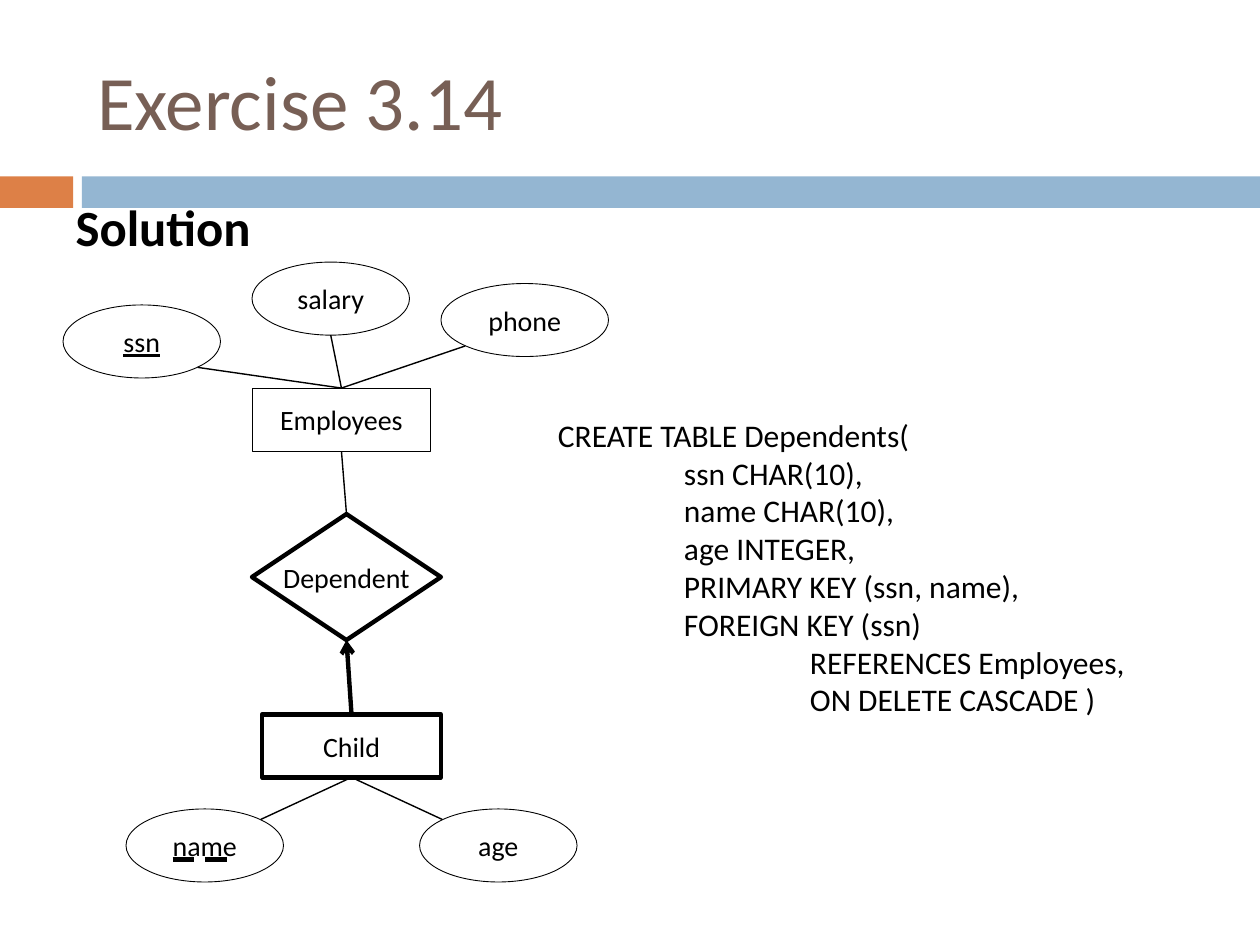
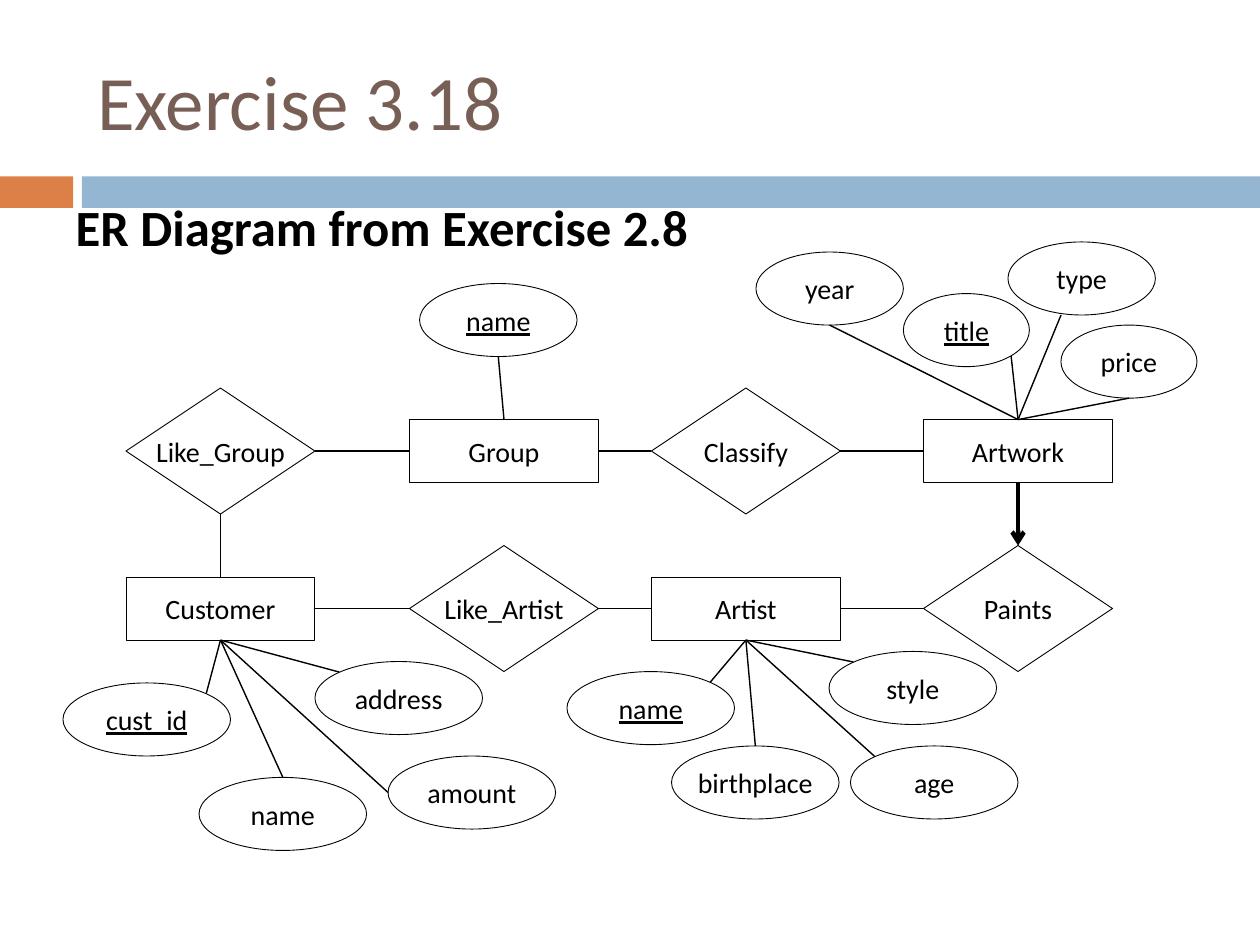
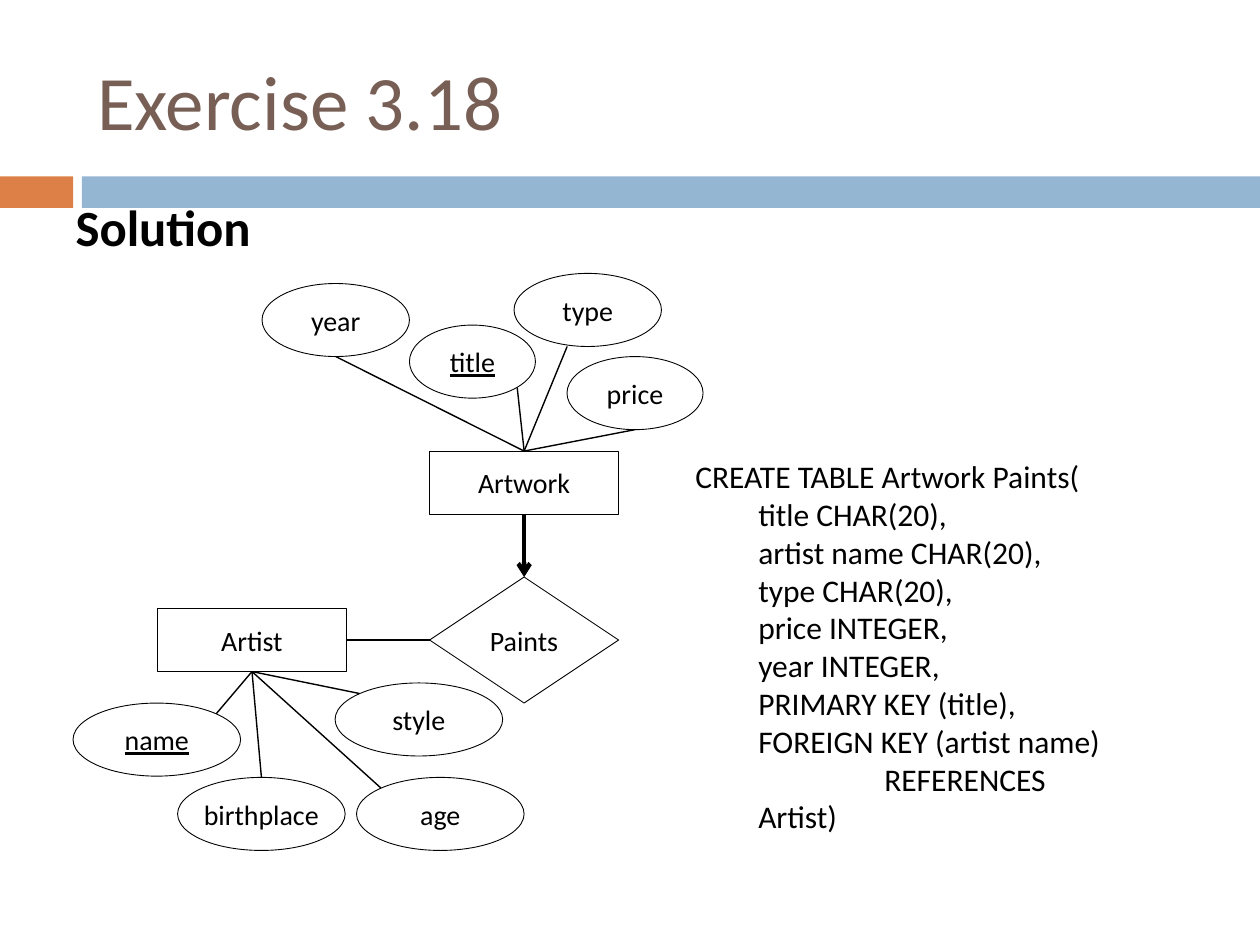
from lxml.etree import SubElement
from pptx import Presentation
from pptx.dml.color import RGBColor
from pptx.enum.shapes import MSO_CONNECTOR, MSO_SHAPE
from pptx.enum.text import MSO_ANCHOR, MSO_AUTO_SIZE, MSO_UNDERLINE, PP_ALIGN
from pptx.oxml.ns import qn
from pptx.util import Inches, Pt

FONT = "Calibri"
BLACK, WHITE = "000000", "FFFFFF"
BROWN, ORANGE, BLUE = "775F55", "DD8047", "94B6D2"
THIN, LINK, THICK = 0.5, 0.79, 2.5
TOP, LEFT, BOTTOM, RIGHT = range(4)
OVAL_HEIGHT = 0.58
DIAGONAL = 0.71
OVAL_POINTS = {
    "top": (0, -1),
    "bottom": (0, 1),
    "left": (-1, 0),
    "top left": (-DIAGONAL, -DIAGONAL),
    "top right": (DIAGONAL, -DIAGONAL),
    "bottom left": (-DIAGONAL, DIAGONAL),
    "bottom right": (DIAGONAL, DIAGONAL),
    "below left": (-0.28, 1),
}


def colour(value):
    return RGBColor.from_string(value)


def place(box, left, top, width, height):
    box.left, box.top = Inches(left), Inches(top)
    box.width, box.height = Inches(width), Inches(height)


class DiagramDeck:
    def __init__(self):
        self.deck = Presentation()
        self.deck.slide_width = Inches(10)
        self.deck.slide_height = Inches(7.5)
        self.layout = self.deck.slide_layouts[1]
        title, body = list(self.layout.placeholders)[:2]
        place(title, 0.67, 0.25, 8.92, 1.08)
        place(body, 0.5, 1.5, 9, 5.58)
        self.page = None

    def add_page(self, title, heading):
        first = self.page is None
        self.page = self.deck.slides.add_slide(self.layout)
        if first:
            self.add_band(0, 0.58, ORANGE)
            self.add_band(0.65, 9.35, BLUE)
        frame = self.page.shapes.title.text_frame
        frame.vertical_anchor = MSO_ANCHOR.MIDDLE
        frame.auto_size = MSO_AUTO_SIZE.NONE
        para = frame.paragraphs[0]
        para.alignment = PP_ALIGN.LEFT
        self.add_span(para, title, 44, BROWN)
        frame = self.page.placeholders[1].text_frame
        frame.auto_size = MSO_AUTO_SIZE.NONE
        para = frame.paragraphs[0]
        para.space_before = Pt(7)
        self.indent(para, 0)
        SubElement(para._p.get_or_add_pPr(), qn("a:buNone"))
        self.add_span(para, heading, 29).font.bold = True

    def add_band(self, left, width, fill):
        band = self.page.shapes.add_shape(
            MSO_SHAPE.RECTANGLE, Inches(left), Inches(1.4), Inches(width), Inches(0.25))
        band.shadow.inherit = False
        band.fill.solid()
        band.fill.fore_color.rgb = colour(fill)
        band.line.fill.background()
        self.deck.slide_master.shapes.element.insert(2, band.element)

    def add_span(self, para, text, size, ink=BLACK):
        span = para.add_run()
        span.text = text
        span.font.name = FONT
        span.font.size = Pt(size)
        span.font.color.rgb = colour(ink)
        return span

    def indent(self, para, margin, first_line=0):
        settings = para._p.get_or_add_pPr()
        settings.set("marL", str(Inches(margin)))
        settings.set("indent", str(Inches(first_line)))

    def add_node(self, kind, text, left, top, width, height, weight, underline=None):
        box = self.page.shapes.add_shape(
            kind, Inches(left), Inches(top), Inches(width), Inches(height))
        box.shadow.inherit = False
        box.fill.solid()
        box.fill.fore_color.rgb = colour(WHITE)
        box.line.color.rgb = colour(BLACK)
        box.line.width = Pt(weight)
        frame = box.text_frame
        frame.word_wrap = False
        frame.vertical_anchor = MSO_ANCHOR.MIDDLE
        para = frame.paragraphs[0]
        para.alignment = PP_ALIGN.CENTER
        self.add_span(para, text, 16).font.underline = underline
        return box

    def add_entity(self, text, left, top, width=1.5, weight=THIN):
        return self.add_node(MSO_SHAPE.RECTANGLE, text, left, top, width, 0.5, weight)

    def add_relation(self, text, left, top, weight=THIN):
        box = self.add_node(MSO_SHAPE.DIAMOND, text, left, top, 1.5, 1, weight)
        frame = box.text_frame
        frame.margin_left = frame.margin_right = frame.margin_top = frame.margin_bottom = 0
        return box

    def add_line(self, box, side, end_x=0, end_y=0, weight=LINK):
        line = self.page.shapes.add_connector(MSO_CONNECTOR.STRAIGHT, 0, 0, end_x, end_y)
        line.begin_connect(box, side)
        line.line.color.rgb = colour(BLACK)
        line.line.width = Pt(weight)
        SubElement(line.element.spPr, qn("a:effectLst"))
        return line

    def add_link(self, start, start_side, end, end_side):
        self.add_line(start, start_side).end_connect(end, end_side)

    def add_arrow(self, start, start_side, end, end_side):
        line = self.add_line(start, start_side, weight=THICK)
        line.end_connect(end, end_side)
        SubElement(line.line._get_or_add_ln(), qn("a:tailEnd"), type="arrow")

    def add_attributes(self, entity, side, attributes, dx=0, dy=0):
        for text, left, top, width, point, underline in attributes:
            oval = self.add_node(MSO_SHAPE.OVAL, text, left + dx, top + dy, width,
                                 OVAL_HEIGHT, THIN, underline)
            across, down = OVAL_POINTS[point]
            self.add_line(entity, side,
                          int(oval.left + oval.width * (1 + across) / 2),
                          int(oval.top + oval.height * (1 + down) / 2))

    def add_code(self, left, top, width, height, lines):
        box = self.page.shapes.add_textbox(
            Inches(left), Inches(top), Inches(width), Inches(height))
        frame = box.text_frame
        frame.word_wrap = True
        for number, (text, margin, first_line) in enumerate(lines):
            para = frame.add_paragraph() if number else frame.paragraphs[0]
            self.indent(para, margin, first_line)
            self.add_span(para, text, 18)

    def add_artwork_diagram(self, dx=0, dy=0):
        artwork = self.add_entity("Artwork", 7.33 + dx, 3.33 + dy)
        artist = self.add_entity("Artist", 5.17 + dx, 4.58 + dy)
        paints = self.add_relation("Paints", 7.33 + dx, 4.33 + dy)
        self.add_arrow(artwork, BOTTOM, paints, TOP)
        self.add_link(artist, RIGHT, paints, LEFT)
        self.add_attributes(artwork, TOP, [
            ("title", 7.17, 2.33, 1, "bottom right", True),
            ("type", 8, 1.92, 1.17, "below left", None),
            ("price", 8.42, 2.58, 1.08, "bottom", None),
            ("year", 6, 2, 1.17, "bottom", None),
        ], dx, dy)
        self.add_attributes(artist, BOTTOM, [
            ("birthplace", 5.33, 5.92, 1.33, "top", None),
            ("style", 6.58, 5.17, 1.33, "top left", None),
            ("age", 6.75, 5.92, 1.33, "top left", None),
            ("name", 4.5, 5.33, 1.33, "top right", True),
        ], dx, dy)
        return artwork, artist


def build_dependents(show):
    show.add_page("Exercise 3.14", "Solution")
    employees = show.add_entity("Employees", 2, 3.08, 1.42)
    dependent = show.add_relation("Dependent", 2, 4.08, THICK)
    child = show.add_entity("Child", 2.08, 5.67, 1.42, THICK)
    show.add_link(employees, BOTTOM, dependent, TOP)
    show.add_arrow(child, TOP, dependent, BOTTOM)
    show.add_attributes(employees, TOP, [
        ("phone", 3.5, 2.25, 1.33, "bottom left", None),
        ("ssn", 0.5, 2.42, 1.25, "bottom right", True),
        ("salary", 2, 2.08, 1.25, "bottom", None),
    ])
    show.add_attributes(child, BOTTOM, [
        ("age", 3.33, 6.42, 1.25, "top left", None),
        ("name", 1, 6.42, 1.25, "top right", MSO_UNDERLINE.DASH_HEAVY_LINE),
    ])
    show.add_code(4.33, 3.25, 4.92, 2.52, [
        ("CREATE TABLE Dependents(", 0, 0),
        ("ssn CHAR(10),", 1, 0),
        ("name CHAR(10),", 1, 0),
        ("age INTEGER,", 1, 0),
        ("PRIMARY KEY (ssn, name),", 1, 0),
        ("FOREIGN KEY (ssn)", 1, 0),
        ("REFERENCES Employees,", 2, 0),
        ("ON DELETE CASCADE )", 2, 0),
    ])


def build_gallery(show):
    show.add_page("Exercise 3.18", "ER Diagram from Exercise 2.8")
    artwork, artist = show.add_artwork_diagram()
    group = show.add_entity("Group", 3.25, 3.33)
    customer = show.add_entity("Customer", 1, 4.58)
    like_group = show.add_relation("Like_Group", 1, 3.08)
    classify = show.add_relation("Classify", 5.17, 3.08)
    like_artist = show.add_relation("Like_Artist", 3.25, 4.33)
    show.add_link(customer, TOP, like_group, BOTTOM)
    for start, end in [(like_group, group), (group, classify), (classify, artwork),
                       (customer, like_artist), (like_artist, artist)]:
        show.add_link(start, RIGHT, end, LEFT)
    show.add_attributes(group, TOP, [("name", 3.33, 2.25, 1.25, "bottom", True)])
    show.add_attributes(customer, BOTTOM, [
        ("name", 1.58, 6.17, 1.33, "top", None),
        ("address", 2.5, 5.25, 1.33, "top left", None),
        ("amount", 3.08, 6, 1.33, "left", None),
        ("cust_id", 0.5, 5.42, 1.33, "top right", True),
    ])


def build_artwork(show):
    show.add_page("Exercise 3.18", "Solution")
    show.add_artwork_diagram(-3.92, 0.25)
    columns = ["title CHAR(20),", "artist name CHAR(20),", "type CHAR(20),",
               "price INTEGER,", "year INTEGER,", "PRIMARY KEY (title),",
               "FOREIGN KEY (artist name)"]
    show.add_code(5.42, 3.58, 3.5, 2.83, [
        ("CREATE TABLE Artwork Paints(", 0, 0),
        *[(text, 0.5, 0) for text in columns],
        ("REFERENCES Artist)", 0.5, 1),
    ])


def main():
    show = DiagramDeck()
    build_dependents(show)
    build_gallery(show)
    build_artwork(show)
    show.deck.save("out.pptx")


if __name__ == "__main__":
    main()
